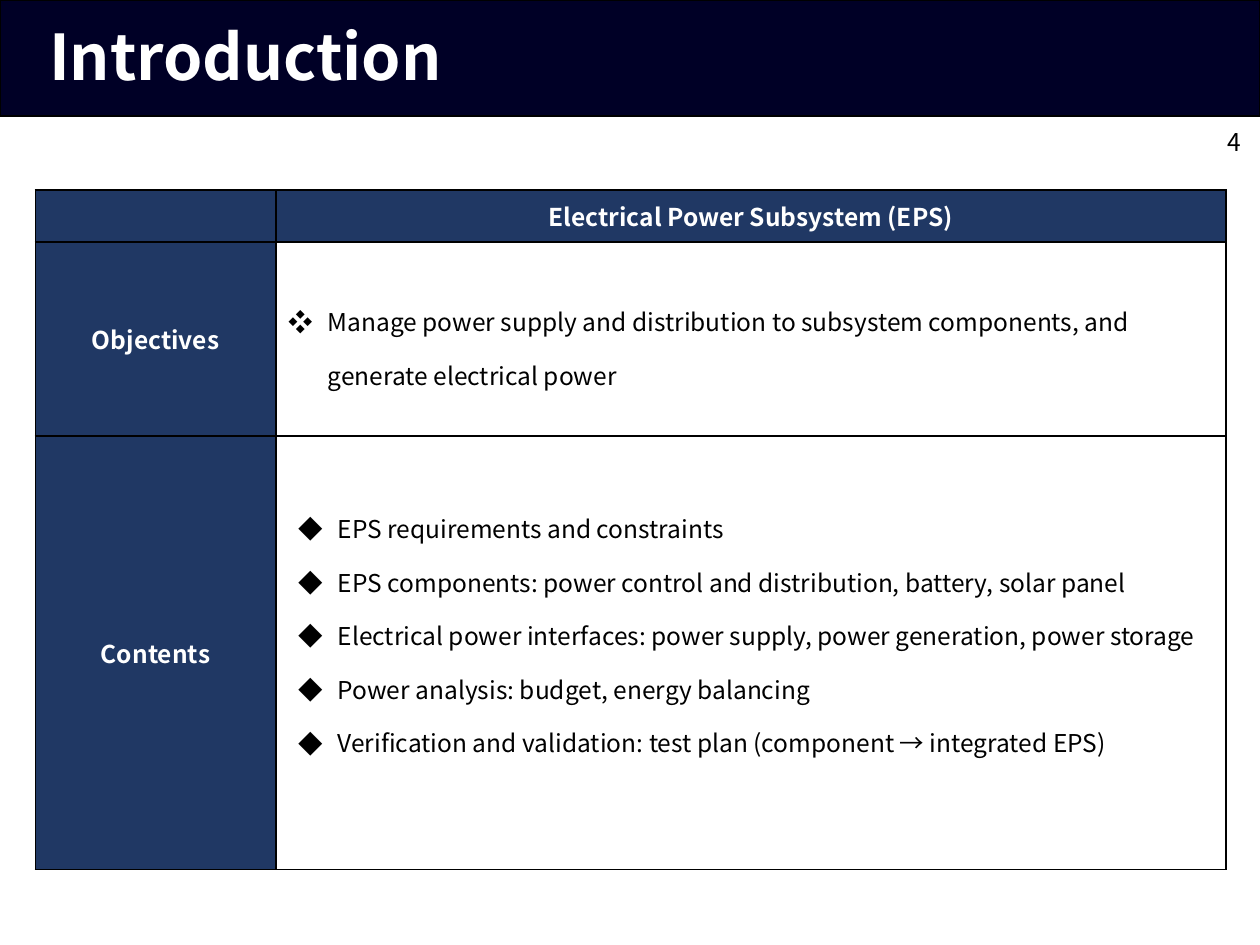
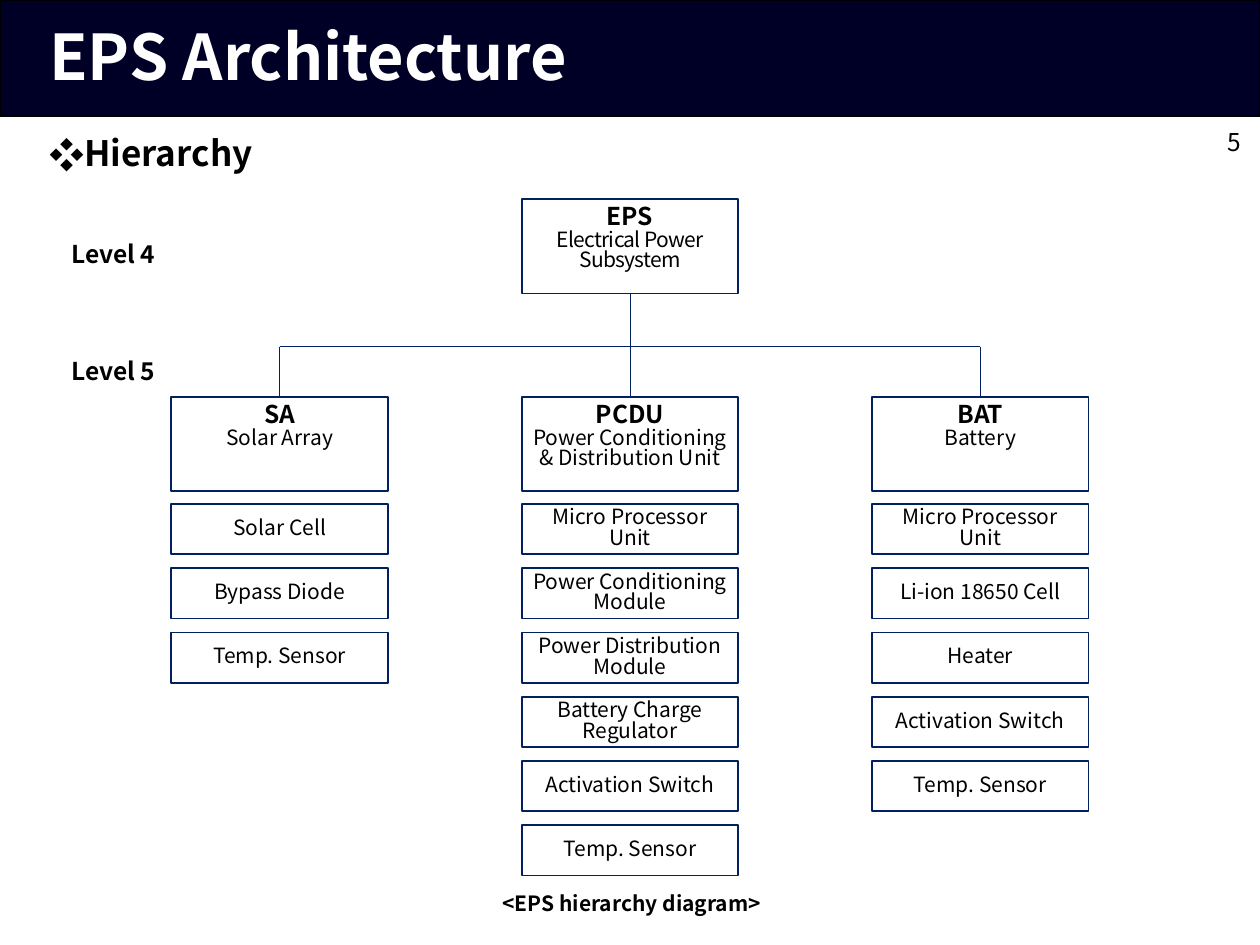
from lxml.etree import SubElement
from pptx import Presentation
from pptx.dml.color import RGBColor
from pptx.enum.shapes import MSO_CONNECTOR as CONN, MSO_SHAPE as SHAPE
from pptx.enum.text import MSO_ANCHOR as ANCHOR, MSO_AUTO_SIZE as AUTOSIZE, PP_ALIGN as ALIGN
from pptx.oxml.ns import qn
from pptx.util import Inches, Pt

FONT = "Noto Sans CJK KR"
COLORS = {"band": "000026", "header": "203864", "box_line": "002060",
          "text": "000000", "white": "FFFFFF"}
COLS, ROWS = 100, 75
TITLE_ONLY, TITLE_AND_BODY = 5, 1


def rgb(name):
    return RGBColor.from_string(COLORS[name])


class Deck:
    """Holds the style and the current slide; lengths are grid columns and rows."""

    def __init__(self):
        self.prs = Presentation()
        self.prs.slide_width, self.prs.slide_height = Inches(10), Inches(7.5)
        self.slide = None

    def grid(self, *cells):
        """Turns (column, row, column, row) counts into lengths."""
        units = (self.prs.slide_width / COLS, self.prs.slide_height / ROWS)
        return [int(n * units[i % 2]) for i, n in enumerate(cells)]

    def start(self, title, number, layout):
        self.slide = self.prs.slides.add_slide(self.prs.slide_layouts[layout])
        if len(self.prs.slides) == 1:
            self.master_band()
        sp = self.slide.shapes.title
        self.move(sp, 2.9, 0.3, 94.5, 8.9)
        tf = self.frame(sp.text_frame)
        self.line(tf.paragraphs[0], title, 36, "white", True, ALIGN.LEFT, 0.9)
        self.label(str(number), 83.2, 9.3, 16.8, 3.9, bold=False, align=ALIGN.RIGHT,
                   margins=(0.1, 0.05, 0.15, 0.05))

    def master_band(self):
        """Puts the title band on the master, behind everything."""
        band = self.rect(0, 0, COLS, 9.2, "band", "text")
        band._element.nvSpPr.cNvPr.set("id", "20")
        self.prs.slide_master.shapes._spTree.insert(2, band._element)

    def move(self, sp, *cells):
        sp.left, sp.top, sp.width, sp.height = self.grid(*cells)

    def frame(self, tf, anchor=ANCHOR.MIDDLE, margins=(0.1, 0.05, 0.1, 0.05)):
        tf.word_wrap, tf.auto_size, tf.vertical_anchor = True, AUTOSIZE.NONE, anchor
        (tf.margin_left, tf.margin_top,
         tf.margin_right, tf.margin_bottom) = map(Inches, margins)
        return tf

    def line(self, p, text, size=14, color="text", bold=False, align=ALIGN.CENTER,
             spacing=1.0, tracking=None):
        p.alignment, p.line_spacing, p.space_before = align, spacing, Pt(0)
        r = p.add_run()
        r.text = text
        f = r.font
        f.name, f.size, f.bold = FONT, Pt(size), bold
        f.color.rgb = rgb(color)
        if tracking:
            r._r.get_or_add_rPr().set("spc", str(tracking))

    def bullet(self, p, char, text, left, hang, spacing, **style):
        pPr = p._p.get_or_add_pPr()
        pPr.set("marL", str(Inches(left)))
        pPr.set("indent", str(-Inches(hang)))
        SubElement(pPr, qn("a:buFont")).set("typeface", FONT)
        SubElement(pPr, qn("a:buChar")).set("char", char)
        self.line(p, text, align=ALIGN.LEFT, spacing=spacing, **style)

    def heading(self, text):
        sp = self.slide.placeholders[1]
        self.move(sp, 2.9, 10.3, 94.5, 62.9)
        tf = self.frame(sp.text_frame, ANCHOR.TOP)
        self.bullet(tf.paragraphs[0], "❖", text, 0.25, 0.25, 0.9, size=20, bold=True)

    def label(self, text, *cells, size=14, bold=True, align=ALIGN.CENTER,
              anchor=ANCHOR.MIDDLE, margins=(0, 0.04, 0, 0.04)):
        sp = self.slide.shapes.add_textbox(*self.grid(*cells))
        tf = self.frame(sp.text_frame, anchor, margins)
        self.line(tf.paragraphs[0], text, size, bold=bold, align=align)

    def rect(self, x, y, w, h, fill="white", outline="box_line"):
        sp = self.slide.shapes.add_shape(SHAPE.RECTANGLE, *self.grid(x, y, w, h))
        sp.shadow.inherit = False
        sp.fill.solid()
        sp.fill.fore_color.rgb = rgb(fill)
        sp.line.color.rgb = rgb(outline)
        sp.line.width = Pt(1)
        return sp

    def box(self, x, y, w, h, lines, head=None, tracking=None):
        """A framed box; one with a bold head is filled from the top."""
        anchor, top = (ANCHOR.TOP, 0.06) if head else (ANCHOR.MIDDLE, 0.04)
        tf = self.frame(self.rect(x, y, w, h).text_frame, anchor, (0, top, 0, 0.04))
        p = tf.paragraphs[0]
        if head:
            self.line(p, head, bold=True, spacing=0.82)
            p = tf.add_paragraph()
        for i, text in enumerate(lines):
            self.line(p if i == 0 else tf.add_paragraph(), text, 12,
                      spacing=0.82, tracking=tracking)

    def connect(self, x1, y1, x2, y2):
        c = self.slide.shapes.add_connector(CONN.STRAIGHT, *self.grid(x1, y1, x2, y2))
        c.line.color.rgb = rgb("box_line")
        c.line.width = Pt(0.5)
        SubElement(c._element.spPr, qn("a:effectLst"))

    def table(self, x, y, widths, heights):
        shape = self.slide.shapes.add_table(
            len(heights), len(widths), *self.grid(x, y, sum(widths), sum(heights)))
        table = shape.table
        for col, w in zip(table.columns, widths):
            col.width = self.grid(w)[0]
        for row, h in zip(table.rows, heights):
            row.height = self.grid(0, h)[1]
        for r in range(len(heights)):
            for c in range(len(widths)):
                self.cell(table.cell(r, c), "white" if r and c else "header")
        return table

    def cell(self, cell, fill):
        cell.vertical_anchor = ANCHOR.MIDDLE
        tcPr = cell._tc.get_or_add_tcPr()
        for side in ("lnL", "lnR", "lnT", "lnB"):
            ln = SubElement(tcPr, qn(f"a:{side}"), w=str(Pt(1)))
            color = SubElement(SubElement(ln, qn("a:solidFill")), qn("a:srgbClr"))
            color.set("val", COLORS["text"])
        cell.fill.solid()
        cell.fill.fore_color.rgb = rgb(fill)

    def cell_bullets(self, cell, char, items, left, level=0):
        tf = cell.text_frame
        for i, text in enumerate(items):
            p = tf.add_paragraph() if i else tf.paragraphs[0]
            p.level = level
            self.bullet(p, char, text, left, 0.31, 1.5)


def introduction(deck):
    deck.start("Introduction", 4, TITLE_ONLY)
    table = deck.table(2.8, 15.1, (19.1, 75.4), (4.1, 15.4, 34.4))
    for (r, c), text in {(0, 1): "Electrical Power Subsystem (EPS)",
                         (1, 0): "Objectives", (2, 0): "Contents"}.items():
        deck.line(table.cell(r, c).text_frame.paragraphs[0], text,
                  color="white", bold=True)
    deck.cell_bullets(table.cell(1, 1), "❖", [
        "Manage power supply and distribution to subsystem components, "
        "and generate electrical power"], 0.31)
    contents = table.cell(2, 1)
    contents.margin_bottom = Inches(0.47)
    deck.cell_bullets(contents, "◆", [
        "EPS requirements and constraints",
        "EPS components: power control and distribution, battery, solar panel",
        "Electrical power interfaces: power supply, power generation, power storage",
        "Power analysis: budget, energy balancing",
        "Verification and validation: test plan (component → integrated EPS)",
    ], 0.39, level=1)


UNITS = [
    ("SA", ["Solar Array"],
     [["Solar Cell"], ["Bypass Diode"], ["Temp. Sensor"]]),
    ("PCDU", ["Power Conditioning", "& Distribution Unit"],
     [["Micro Processor", "Unit"], ["Power Conditioning", "Module"],
      ["Power Distribution", "Module"], ["Battery Charge", "Regulator"],
      ["Activation Switch"], ["Temp. Sensor"]]),
    ("BAT", ["Battery"],
     [["Micro Processor", "Unit"], ["Li-ion 18650 Cell"], ["Heater"],
      ["Activation Switch"], ["Temp. Sensor"]]),
]


def architecture(deck):
    deck.start("EPS Architecture", 5, TITLE_AND_BODY)
    deck.heading("Hierarchy")
    width, head_h, part_h = 17.2, 7.5, 4
    center, step = 50, 27.8
    eps_y, bus_y, unit_y, part_y, part_step = 15.8, 27.5, 31.5, 40, 5.1

    deck.connect(center - step, bus_y, center + step, bus_y)
    deck.connect(center, eps_y + head_h, center, bus_y)
    deck.box(center - width / 2, eps_y, width, head_h,
             ["Electrical Power", "Subsystem"], "EPS", tracking=-40)
    for i, (name, lines, parts) in enumerate(UNITS):
        middle = center + (i - 1) * step
        left = middle - width / 2
        deck.connect(middle, bus_y, middle, unit_y)
        deck.box(left, unit_y, width, head_h, lines, name)
        for j, part in enumerate(parts):
            deck.box(left, part_y + j * part_step, width, part_h, part)

    for text, y in (("Level 4", 17.1), ("Level 5", 26.4)):
        deck.label(text, 0.4, y, width, 6.1)
    deck.label("<EPS hierarchy diagram>", 2.9, 70.2, 94.5, 3, size=12,
               anchor=ANCHOR.TOP, margins=(0.1, 0.05, 0.1, 0.05))


def main():
    deck = Deck()
    introduction(deck)
    architecture(deck)
    deck.prs.save("out.pptx")


if __name__ == "__main__":
    main()
